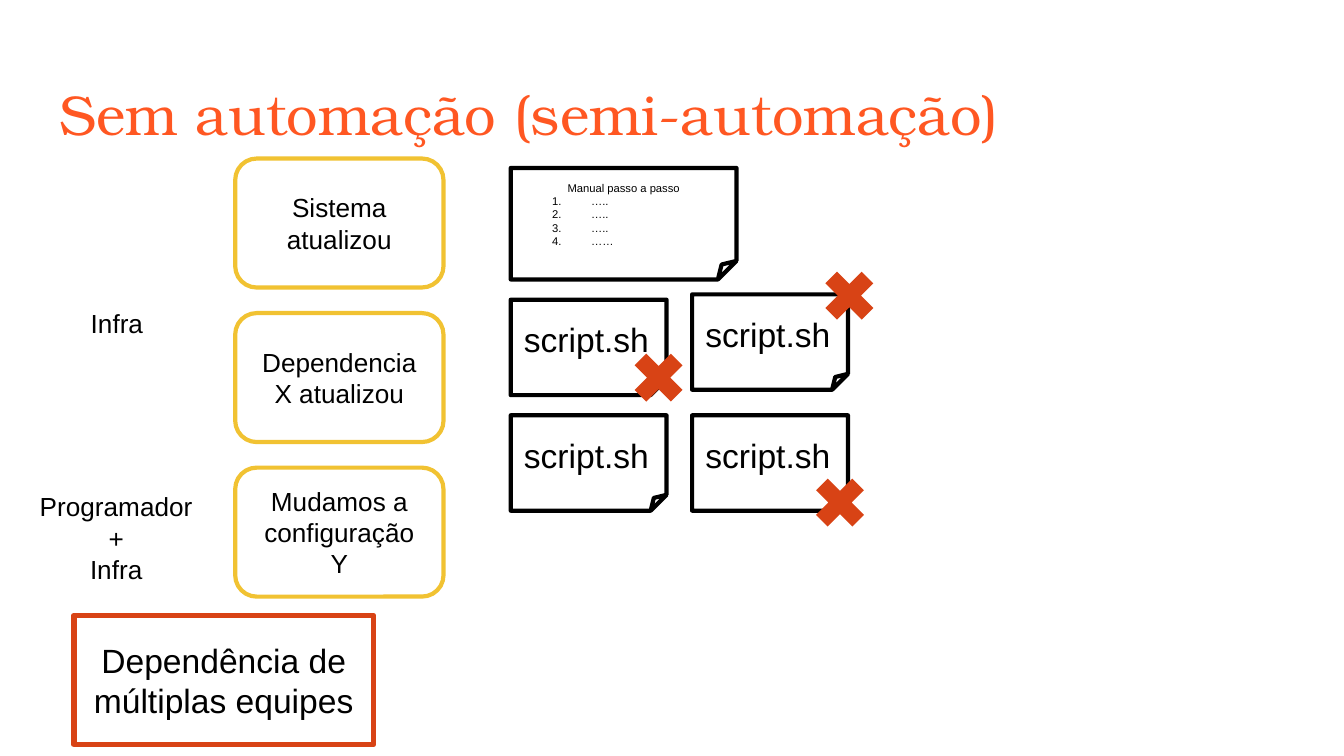
"""Build a slide on semi-automated operations that depend on several teams."""
import dataclasses
import typing

import lxml.etree
import pptx
import pptx.dml.color
import pptx.enum.shapes
import pptx.enum.text
import pptx.oxml.ns
import pptx.util

Inches = pptx.util.Inches
Pt = pptx.util.Pt
RGBColor = pptx.dml.color.RGBColor
Kind = pptx.enum.shapes.MSO_SHAPE
Align = pptx.enum.text.PP_ALIGN
Anchor = pptx.enum.text.MSO_ANCHOR

BLACK = RGBColor(0x00, 0x00, 0x00)
WHITE = RGBColor(0xFF, 0xFF, 0xFF)
ORANGE = RGBColor(0xFF, 0x57, 0x22)
YELLOW = RGBColor(0xF1, 0xC2, 0x32)
RED = RGBColor(0xD8, 0x43, 0x15)


@dataclasses.dataclass(frozen=True)
class Box:
    left: float
    top: float
    width: float
    height: float
    text: str = ""


@dataclasses.dataclass(frozen=True)
class Style:
    kind: Kind
    fill: typing.Optional[RGBColor] = None
    line: typing.Optional[RGBColor] = None
    weight: float = 2.25
    size: float = 18
    align: Align = Align.CENTER


NOTE = Style(Kind.FOLDED_CORNER, line=BLACK, size=6)
SCRIPT = Style(Kind.FOLDED_CORNER, line=BLACK, align=Align.LEFT)
EVENT = Style(Kind.ROUNDED_RECTANGLE, WHITE, YELLOW, size=14)
RESULT = Style(Kind.RECTANGLE, WHITE, RED, weight=3)
CROSS = Style(Kind.MATH_MULTIPLY, RED)

TITLE = Box(0.34, 0.49, 9.32, 0.63, "Sem automação (semi-automação)")
TEAMS = [
    Box(0.5, 2.19, 0.74, 0.22, "Infra"),
    Box(0.13, 3.55, 1.47, 0.83, "Programador\n+\nInfra"),
]
GUIDE = Box(3.8, 1.25, 1.68, 0.83, "Manual passo a passo\n…..\n…..\n…..\n……")
EVENTS = ["Sistema atualizou", "Dependencia X atualizou", "Mudamos a configuração Y"]
SCRIPTS = [(3.8, 2.23), (3.8, 3.09), (5.15, 2.19), (5.15, 3.09)]
FAILS = [(5.99, 3.48), (4.64, 2.55), (6.06, 1.94)]
TOTAL = Box(0.55, 4.58, 2.23, 0.96, "Dependência de múltiplas equipes")


def write(shape: typing.Any, text: str, size: float, align: Align,
          anchor: Anchor = Anchor.TOP, font: str = "Arial",
          color: RGBColor = BLACK) -> None:
    frame = shape.text_frame
    frame.text = text
    frame.word_wrap = True
    frame.auto_size = pptx.enum.text.MSO_AUTO_SIZE.NONE
    frame.vertical_anchor = anchor
    frame.margin_left = frame.margin_right = Inches(0.1)
    frame.margin_top = frame.margin_bottom = Inches(0.1)
    for para in frame.paragraphs:
        para.alignment = align
        for run in para.runs:
            run.font.name = font
            run.font.size = Pt(size)
            run.font.color.rgb = color


def draw(slide: typing.Any, box: Box, style: Style) -> typing.Any:
    shape = slide.shapes.add_shape(
        style.kind, Inches(box.left), Inches(box.top),
        Inches(box.width), Inches(box.height))
    shape.shadow.inherit = False
    if style.fill is None:
        shape.fill.background()
    else:
        shape.fill.solid()
        shape.fill.fore_color.rgb = style.fill
    if style.line is None:
        shape.line.fill.background()
    else:
        shape.line.color.rgb = style.line
        shape.line.width = Pt(style.weight)
    if box.text:
        write(shape, box.text, style.size, style.align, Anchor.MIDDLE)
    return shape


def label(slide: typing.Any, box: Box) -> None:
    shape = slide.shapes.add_textbox(
        Inches(box.left), Inches(box.top), Inches(box.width), Inches(box.height))
    write(shape, box.text, 14, Align.CENTER)


def number(para: typing.Any) -> None:
    para.alignment = Align.LEFT
    props = para._p.get_or_add_pPr()
    props.set("marL", str(Inches(0.5)))
    props.set("indent", str(Inches(-0.29)))
    lxml.etree.SubElement(
        props, pptx.oxml.ns.qn("a:buAutoNum"), type="arabicPeriod")


def head(slide: typing.Any, box: Box) -> None:
    title = slide.shapes.title
    title.left, title.top = Inches(box.left), Inches(box.top)
    title.width, title.height = Inches(box.width), Inches(box.height)
    write(title, box.text, 30, Align.LEFT, font="TeX Gyre Bonum", color=ORANGE)


def main() -> None:
    deck = pptx.Presentation()
    deck.slide_width = Inches(10)
    deck.slide_height = Inches(10 * 9 / 16)
    slide = deck.slides.add_slide(deck.slide_layouts[5])
    head(slide, TITLE)
    for team in TEAMS:
        label(slide, team)
    guide = draw(slide, GUIDE, NOTE)
    for para in guide.text_frame.paragraphs[1:]:
        number(para)
    for left, top in SCRIPTS:
        draw(slide, Box(left, top, 1.16, 0.71, "script.sh"), SCRIPT)
    for row, text in enumerate(EVENTS):
        draw(slide, Box(1.75, 1.18 + 1.15 * row, 1.55, 0.96, text), EVENT)
    draw(slide, TOTAL, RESULT)
    for left, top in FAILS:
        draw(slide, Box(left, top, 0.52, 0.52), CROSS)
    deck.save("out.pptx")


if __name__ == "__main__":
    main()
